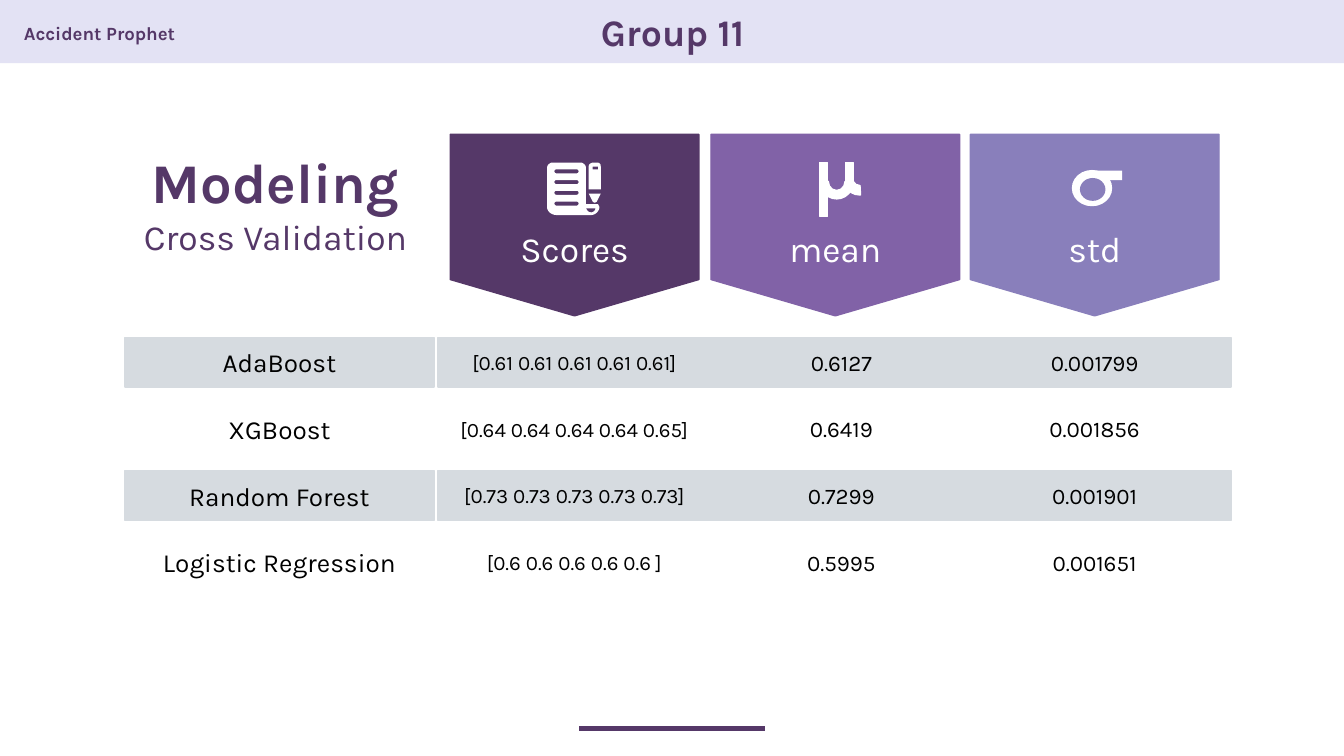
import dataclasses
import typing

import lxml.etree
import pptx
import pptx.dml.color
import pptx.enum.shapes
import pptx.enum.text
import pptx.oxml.ns
import pptx.util
from pptx.util import Inches

Shape = pptx.enum.shapes.MSO_SHAPE
Align = pptx.enum.text.PP_ALIGN
Anchor = pptx.enum.text.MSO_ANCHOR
Point = tuple[float, float]

FONT = "Karla"
COLORS = {
    "plum": "553868",
    "violet": "8162A7",
    "lavender": "897FBB",
    "header": "D2D1EE",
    "band": "D6DBE0",
    "white": "FFFFFF",
    "black": "000000",
}


@dataclasses.dataclass(frozen=True)
class Box:
    left: float
    top: float
    width: float
    height: float

    def lengths(self) -> tuple[int, ...]:
        return tuple(Inches(v) for v in dataclasses.astuple(self))


@dataclasses.dataclass(frozen=True)
class Banner:
    label: str
    left: float
    color: str


@dataclasses.dataclass(frozen=True)
class Column:
    left: float
    width: float
    size: int


@dataclasses.dataclass(frozen=True)
class Model:
    name: str
    scores: str
    mean: str
    std: str


BANNERS = [
    Banner("Scores", 3.35, "plum"),
    Banner("mean", 5.29, "violet"),
    Banner("std", 7.22, "lavender"),
]
COLUMNS = [
    Column(0.93, 2.3, 14),
    Column(3.26, 2.03, 11),
    Column(5.29, 1.94, 12),
    Column(7.13, 2.03, 12),
]
MODELS = [
    Model("AdaBoost", "[0.61 0.61 0.61 0.61 0.61]", "0.6127", "0.001799"),
    Model("XGBoost", "[0.64 0.64 0.64 0.64 0.65]", "0.6419", "0.001856"),
    Model("Random Forest", "[0.73 0.73 0.73 0.73 0.73]", "0.7299", "0.001901"),
    Model("Logistic Regression", "[0.6 0.6 0.6 0.6 0.6 ]", "0.5995", "0.001651"),
]
FIRST_ROW, LAST_ROW, ROW_HEIGHT = 2.51, 4.0, 0.37


def rgb(color: str) -> pptx.dml.color.RGBColor:
    return pptx.dml.color.RGBColor.from_string(COLORS[color])


def paint(shape, color: str, outlined: bool = True) -> None:
    shape.shadow.inherit = False
    shape.fill.solid()
    shape.fill.fore_color.rgb = rgb(color)
    if outlined:
        shape.line.color.rgb = rgb(color)
        shape.line.width = pptx.util.Pt(0.75)
    else:
        shape.line.fill.background()


def draw_shape(shapes, kind, box: Box, color: str, outlined: bool = True):
    shape = shapes.add_shape(kind, *box.lengths())
    paint(shape, color, outlined)
    return shape


def write(shape, text: str, sizes: typing.Sequence[int], color: str,
          bold: bool = False, align=Align.CENTER, anchor=Anchor.MIDDLE) -> None:
    frame = shape.text_frame
    frame.text = text
    frame.word_wrap = True
    frame.auto_size = pptx.enum.text.MSO_AUTO_SIZE.NONE
    frame.vertical_anchor = anchor
    frame.margin_left = frame.margin_right = Inches(0.1)
    frame.margin_top = frame.margin_bottom = Inches(0.1)
    for paragraph, size in zip(frame.paragraphs, sizes):
        paragraph.alignment = align
        for run in paragraph.runs:
            run.font.name = FONT
            run.font.size = pptx.util.Pt(size)
            run.font.bold = bold
            run.font.color.rgb = rgb(color)


def curve(start: Point, first: Point, second: Point, end: Point) -> list[Point]:
    points = []
    for step in range(9):
        t = step / 8
        weights = ((1 - t) ** 3, 3 * t * (1 - t) ** 2, 3 * t * t * (1 - t), t ** 3)
        points.append(tuple(
            sum(w * p[axis] for w, p in zip(weights, (start, first, second, end)))
            for axis in (0, 1)))
    return points


def draw_outline(shapes, contours: list[list[Point]]) -> None:
    scaled = [[(Inches(x), Inches(y)) for x, y in contour] for contour in contours]
    builder = shapes.build_freeform(*scaled[0][0], scale=1.0)
    for index, contour in enumerate(scaled):
        if index:
            builder.move_to(*contour[0])
        builder.add_line_segments(contour[1:], close=True)
    paint(builder.convert_to_shape(), "white", outlined=False)


def draw_scores_icon(shapes) -> None:
    page = (
        curve((4.11, 1.21), (4.09, 1.21), (4.07, 1.23), (4.07, 1.25))
        + curve((4.07, 1.54), (4.07, 1.57), (4.1, 1.6), (4.14, 1.6))
        + curve((4.4, 1.6), (4.43, 1.6), (4.46, 1.57), (4.46, 1.54))
        + [(4.45, 1.52), (4.36, 1.52)]
        + curve((4.36, 1.25), (4.36, 1.23), (4.34, 1.21), (4.32, 1.21)))
    text_lines = [
        curve((4.29, y), (4.31, y), (4.31, y + 0.03), (4.29, y + 0.03))
        + curve((4.14, y + 0.03), (4.12, y + 0.03), (4.12, y), (4.14, y))
        for y in (1.26 + 0.08 * i for i in range(4))]
    fold = (curve((4.43, 1.55), (4.43, 1.57), (4.41, 1.58), (4.4, 1.58))
            + curve((4.4, 1.58), (4.38, 1.58), (4.37, 1.57), (4.36, 1.55)))
    draw_outline(shapes, [page, *text_lines, fold])

    pencil_tip = ([(4.38, 1.44)]
                  + curve((4.41, 1.5), (4.42, 1.51), (4.43, 1.51), (4.44, 1.5))
                  + [(4.47, 1.44)])
    draw_outline(shapes, [pencil_tip])

    pencil = (curve((4.42, 1.21), (4.4, 1.21), (4.38, 1.22), (4.38, 1.24))
              + [(4.38, 1.41), (4.47, 1.41)]
              + curve((4.47, 1.24), (4.47, 1.22), (4.46, 1.21), (4.44, 1.21)))
    eraser = [(4.41, 1.24), (4.45, 1.24), (4.45, 1.26), (4.41, 1.26)]
    draw_outline(shapes, [pencil, eraser])


def draw_arc(shapes, box: Box, adjustments: typing.Sequence[float]) -> None:
    arc = draw_shape(shapes, Shape.BLOCK_ARC, box, "white")
    arc.rotation = 180
    for index, value in enumerate(adjustments):
        arc.adjustments[index] = value


def draw_mu(shapes) -> None:
    draw_arc(shapes, Box(6.1, 1.22, 0.25, 0.26), (108, 0, 0.25))
    for stem in (Box(6.1, 1.21, 0.06, 0.16), Box(6.29, 1.21, 0.06, 0.16),
                 Box(6.1, 1.37, 0.06, 0.24)):
        draw_shape(shapes, Shape.RECTANGLE, stem, "white")
    draw_arc(shapes, Box(6.27, 1.19, 0.25, 0.26), (160.07, 199.17, 0.28))


def draw_sigma(shapes) -> None:
    draw_shape(shapes, Shape.RECTANGLE, Box(8.14, 1.27, 0.21, 0.07), "white", False)
    draw_shape(shapes, Shape.OVAL, Box(7.98, 1.27, 0.29, 0.26), "white")
    draw_shape(shapes, Shape.OVAL, Box(8.04, 1.33, 0.18, 0.16), "lavender")


def draw_header(slide) -> None:
    header = draw_shape(slide.shapes, Shape.RECTANGLE, Box(0, 0, 10, 0.47), "header", False)
    tint = header._element.spPr.find(".//" + pptx.oxml.ns.qn("a:srgbClr"))
    lxml.etree.SubElement(tint, pptx.oxml.ns.qn("a:alpha"), val="61000")
    project = slide.shapes.add_textbox(*Box(0.08, 0.11, 2.56, 0.27).lengths())
    write(project, "Accident Prophet", [10], "plum", True, Align.LEFT)
    group_name = slide.shapes.add_textbox(*Box(4.08, 0, 1.85, 0.47).lengths())
    write(group_name, "Group 11", [20], "plum", True)


def draw_footer_line(slide) -> None:
    line = slide.shapes.add_connector(
        pptx.enum.shapes.MSO_CONNECTOR.STRAIGHT,
        Inches(4.31), Inches(5.42), Inches(5.69), Inches(5.42))
    line.line.color.rgb = rgb("plum")
    line.line.width = pptx.util.Pt(3)
    lxml.etree.SubElement(line._element.spPr, pptx.oxml.ns.qn("a:effectLst"))


def draw_title(slide) -> None:
    title = slide.shapes.title
    title.left, title.top, title.width, title.height = Box(0.84, 1, 2.42, 0.95).lengths()
    write(title, "Modeling\nCross Validation", [30, 19], "plum", anchor=Anchor.TOP)
    title.text_frame.paragraphs[0].runs[0].font.bold = True


def draw_banner(slide, banner: Banner) -> None:
    shape = draw_shape(slide.shapes, Shape.FLOWCHART_OFFPAGE_CONNECTOR,
                       Box(banner.left, 1, 1.85, 1.35), banner.color)
    write(shape, banner.label, [19], "white")
    shape.text_frame.margin_top = Inches(0.62)
    shape.text_frame.margin_bottom = 0


def draw_model(slide, model: Model, top: float, color: str) -> None:
    for column, value in zip(COLUMNS, dataclasses.astuple(model)):
        cell = draw_shape(slide.shapes, Shape.RECTANGLE,
                          Box(column.left, top, column.width, ROW_HEIGHT), color)
        write(cell, value, [column.size], "black")


def main() -> None:
    deck = pptx.Presentation()
    deck.slide_width, deck.slide_height = Inches(10), Inches(10 * 9 / 16)
    slide = deck.slides.add_slide(deck.slide_layouts[5])
    draw_header(slide)
    draw_footer_line(slide)
    draw_title(slide)
    for banner in BANNERS:
        draw_banner(slide, banner)
    pitch = (LAST_ROW - FIRST_ROW) / (len(MODELS) - 1)
    for index, model in enumerate(MODELS):
        draw_model(slide, model, FIRST_ROW + index * pitch, ("band", "white")[index % 2])
    for draw_icon in (draw_scores_icon, draw_mu, draw_sigma):
        draw_icon(slide.shapes.add_group_shape().shapes)
    deck.save("out.pptx")


if __name__ == "__main__":
    main()
